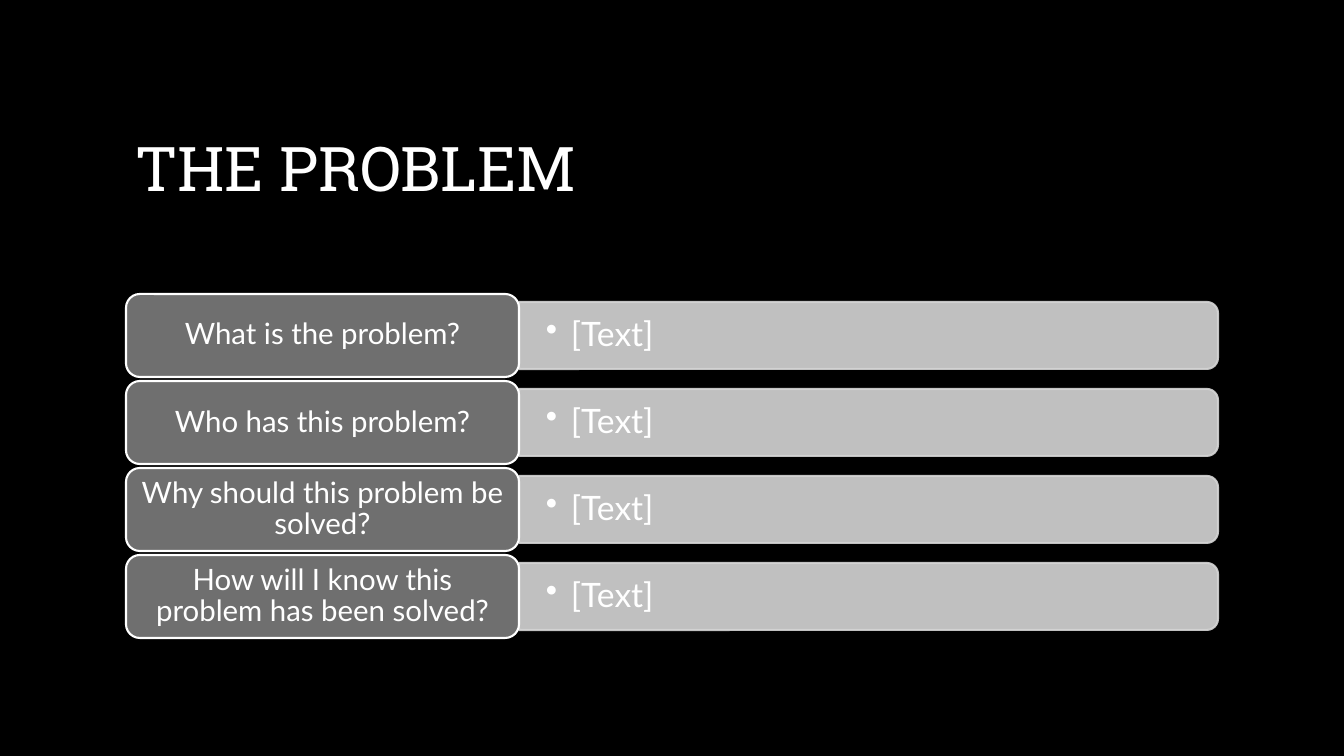
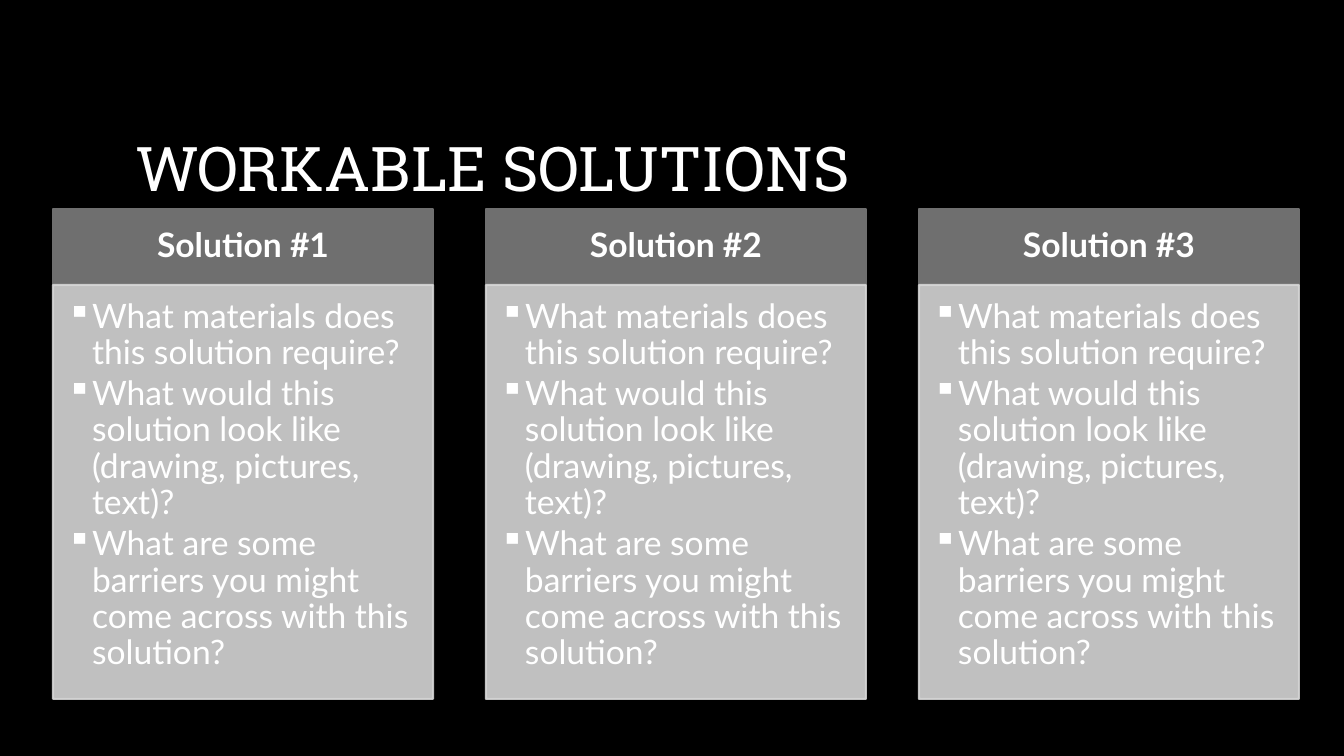
"""Build two dark slides: the problem and its workable solutions."""
from lxml.etree import SubElement
from pptx import Presentation
from pptx.dml.color import RGBColor
from pptx.enum.shapes import MSO_SHAPE
from pptx.enum.text import MSO_ANCHOR, MSO_AUTO_SIZE, PP_ALIGN
from pptx.oxml.ns import qn
from pptx.util import Pt

PX = 12192000 / 1344
BLACK = RGBColor(0x00, 0x00, 0x00)
WHITE = RGBColor(0xFF, 0xFF, 0xFF)
DARK_GRAY = RGBColor(0x6F, 0x6F, 0x6F)
LIGHT_GRAY = RGBColor(0xD5, 0xD5, 0xD5)
TITLE_FONT = "Roboto Slab"
BODY_FONT = "Lato"
BULLET_INDENT = 25


def px(value):
    return round(value * PX)


def write_text(shape, lines, size=24, font=BODY_FONT, bold=False, align=PP_ALIGN.LEFT,
               anchor=MSO_ANCHOR.MIDDLE, insets=(9, 5, 9, 5), spacing=0.9, after=0, bullet=None):
    frame = shape.text_frame
    frame.word_wrap = True
    frame.auto_size = MSO_AUTO_SIZE.NONE
    frame.vertical_anchor = anchor
    frame.margin_left, frame.margin_top, frame.margin_right, frame.margin_bottom = map(px, insets)
    frame.text = "\n".join(lines)
    for paragraph in frame.paragraphs:
        paragraph.alignment = align
        paragraph.line_spacing = spacing
        paragraph.space_after = Pt(after)
        paragraph.font.size = Pt(size)
        paragraph.font.name = font
        paragraph.font.bold = bold
        paragraph.font.color.rgb = WHITE
        for run in paragraph.runs:
            run.font.size = Pt(size)
            run.font.name = font
            run.font.bold = bold
            run.font.color.rgb = WHITE
        if bullet:
            properties = paragraph._p.get_or_add_pPr()
            properties.set("marL", str(px(BULLET_INDENT)))
            properties.set("indent", str(-px(BULLET_INDENT)))
            mark = properties.makeelement(qn("a:buChar"), {"char": bullet})
            properties.insert_element_before(mark, "a:tabLst", "a:defRPr", "a:extLst")


def add_panel(slide, kind, left, top, width, height, fill, line, opacity=100):
    shape = slide.shapes.add_shape(kind, px(left), px(top), px(width), px(height))
    shape.shadow.inherit = False
    shape.fill.solid()
    shape.fill.fore_color.rgb = fill
    shape.line.color.rgb = line
    shape.line.width = Pt(1.5)
    if opacity < 100:
        for color in shape.element.spPr.iter(qn("a:srgbClr")):
            SubElement(color, qn("a:alpha"), val=str(opacity * 1000))
    return shape


presentation = Presentation()
presentation.slide_width = px(1344)
presentation.slide_height = px(756)
background = presentation.slide_master.background.fill
background.solid()
background.fore_color.rgb = BLACK
layout = presentation.slide_layouts[5]
layout_title = layout.placeholders[0]
layout_title.left, layout_title.top = px(126), px(67)
layout_title.width, layout_title.height = px(1092), px(210)

slides = []
for title in ("THE PROBLEM", "WORKABLE SOLUTIONS"):
    slide = presentation.slides.add_slide(layout)
    write_text(slide.shapes.title, [title], size=44, font=TITLE_FONT)
    slides.append(slide)
problem_slide, solutions_slide = slides

QUESTIONS = (
    "What is the problem?",
    "Who has this problem?",
    "Why should this problem be solved?",
    "How will I know this problem has been solved?",
)
LABEL_LEFT, LABEL_TOP, LABEL_WIDTH, LABEL_HEIGHT = 126, 294, 393, 83
ROW_PITCH = 87
BAR_LEFT = LABEL_LEFT + LABEL_WIDTH
BAR_WIDTH, BAR_HEIGHT = 699, 67
TURN_OFFSET = (BAR_WIDTH - BAR_HEIGHT) // 2

for row, question in enumerate(QUESTIONS):
    label_top = LABEL_TOP + row * ROW_PITCH
    bar_top = label_top + (LABEL_HEIGHT - BAR_HEIGHT) // 2
    bar = add_panel(problem_slide, MSO_SHAPE.ROUND_2_SAME_RECTANGLE, BAR_LEFT + TURN_OFFSET,
                    bar_top - TURN_OFFSET, BAR_HEIGHT, BAR_WIDTH, LIGHT_GRAY, LIGHT_GRAY, opacity=90)
    bar.rotation = 90
    answer = problem_slide.shapes.add_textbox(px(BAR_LEFT), px(bar_top), px(BAR_WIDTH), px(BAR_HEIGHT))
    write_text(answer, ["[Text]"], insets=(27, 14, 27, 14), bullet="•")
    label = add_panel(problem_slide, MSO_SHAPE.ROUNDED_RECTANGLE, LABEL_LEFT, label_top,
                      LABEL_WIDTH, LABEL_HEIGHT, DARK_GRAY, WHITE)
    write_text(label, [question], size=21, align=PP_ALIGN.CENTER, insets=(9, 4, 9, 4))

PROMPTS = (
    "What materials does this solution require?",
    "What would this solution look like (drawing, pictures, text)?",
    "What are some barriers you might come across with this solution?",
)
COLUMN_LEFT, COLUMN_PITCH, COLUMN_WIDTH = 53, 433, 380
HEADER_TOP, HEADER_HEIGHT, BODY_HEIGHT = 209, 76, 414

for column in range(3):
    left = COLUMN_LEFT + column * COLUMN_PITCH
    header = add_panel(solutions_slide, MSO_SHAPE.RECTANGLE, left, HEADER_TOP,
                       COLUMN_WIDTH, HEADER_HEIGHT, DARK_GRAY, DARK_GRAY)
    write_text(header, [f"Solution #{column + 1}"], bold=True, align=PP_ALIGN.CENTER,
               insets=(19, 11, 19, 11))
    body = add_panel(solutions_slide, MSO_SHAPE.RECTANGLE, left, HEADER_TOP + HEADER_HEIGHT,
                     COLUMN_WIDTH, BODY_HEIGHT, LIGHT_GRAY, LIGHT_GRAY, opacity=90)
    write_text(body, PROMPTS, anchor=MSO_ANCHOR.TOP, insets=(14, 14, 19, 21), after=3.6, bullet="▪")

presentation.save("out.pptx")
